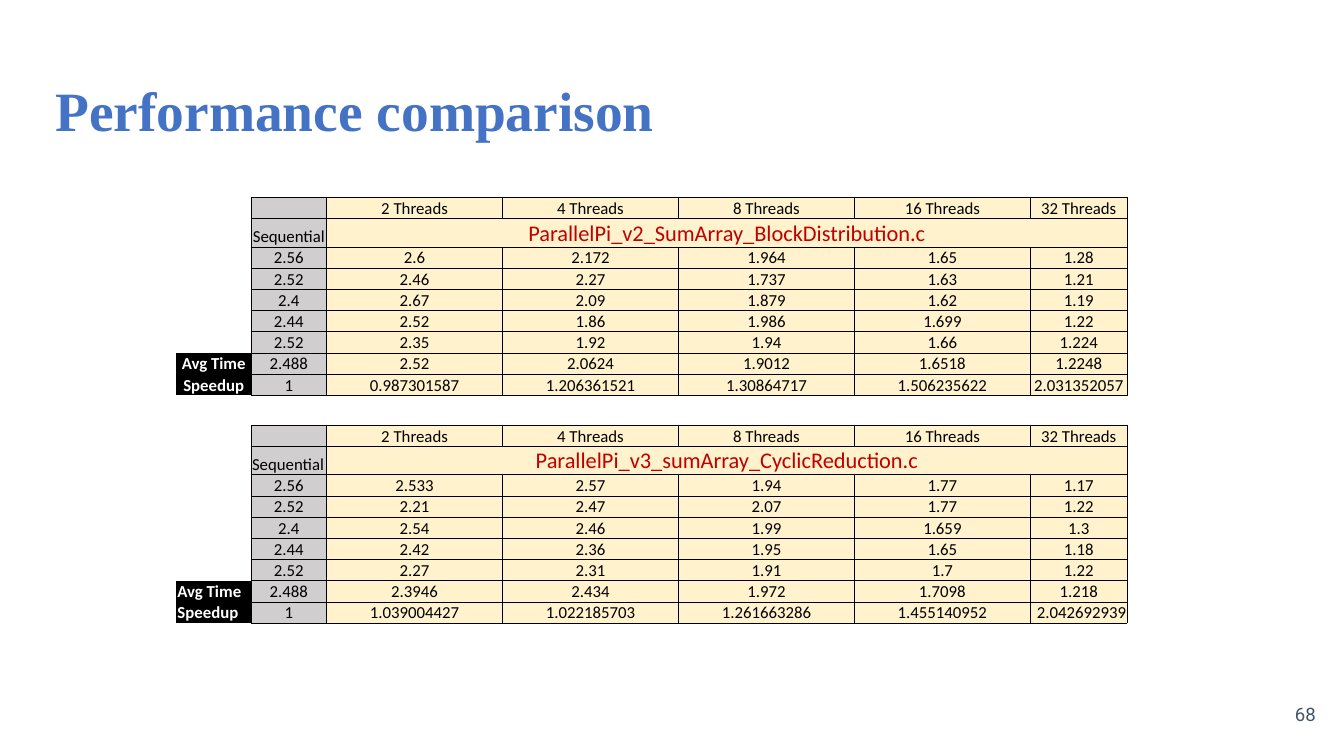
"""Builds the slide that compares thread timings of two parallel programs."""
from lxml.etree import SubElement
from pptx import Presentation
from pptx.dml.color import RGBColor
from pptx.enum.text import MSO_ANCHOR, PP_ALIGN
from pptx.oxml.ns import qn
from pptx.util import Inches, Pt

THEME = {
    "title": ("Times New Roman", 39.6, "4472C4"),
    "number": ("Roboto", 13.3, "44546A"),
    "body": ("Calibri", 12, "000000"),
    "label": ("Calibri", 12, "FFFFFF"),
    "program": ("Calibri", 16, "C00000"),
    "sequential_fill": "D0CECE",
    "threads_fill": "FFF2CC",
    "label_fill": "000000",
    "border": "000000",
}
NO_STYLE = "{2D5ABB26-0587-4C30-8999-92F81FD0307C}"
COLS = [0.74, 0.75] + [6.98 / 4] * 4 + [0.96]
ROWS = [0.21, 0.28] + [0.21] * 7
SEQUENTIAL = ["2.56", "2.52", "2.4", "2.44", "2.52", "2.488", "1"]
HEADER = ["", ""] + [f"{2 ** n} Threads" for n in range(1, 6)]
LABELS = [""] * 5 + ["Avg Time", "Speedup"]
LEFT, RIGHT, CENTER = PP_ALIGN.LEFT, PP_ALIGN.RIGHT, PP_ALIGN.CENTER

BLOCK = """2.6 2.172 1.964 1.65 1.28
2.46 2.27 1.737 1.63 1.21
2.67 2.09 1.879 1.62 1.19
2.52 1.86 1.986 1.699 1.22
2.35 1.92 1.94 1.66 1.224
2.52 2.0624 1.9012 1.6518 1.2248
0.987301587 1.206361521 1.30864717 1.506235622 2.031352057"""
CYCLIC = """2.533 2.57 1.94 1.77 1.17
2.21 2.47 2.07 1.77 1.22
2.54 2.46 1.99 1.659 1.3
2.42 2.36 1.95 1.65 1.18
2.27 2.31 1.91 1.7 1.22
2.3946 2.434 1.972 1.7098 1.218
1.039004427 1.022185703 1.261663286 1.455140952 2.042692939"""
TABLES = [
    (1.96, "ParallelPi_v2_SumArray_BlockDistribution.c", BLOCK, {}),
    (4.22, "ParallelPi_v3_sumArray_CyclicReduction.c", CYCLIC,
     {(1, 1): LEFT, (7, 0): LEFT, (8, 0): LEFT, (8, 6): RIGHT}),
]


def write(tf, text, style, align, bold=False):
    p = tf.paragraphs[0]
    p.alignment = align
    p.font.name, size, color = THEME[style]
    p.font.size = Pt(size)
    p.font.bold = bold
    p.font.color.rgb = RGBColor.from_string(color)
    if text:
        p.add_run().text = text
    else:
        SubElement(p._p, qn("a:endParaRPr"), sz=str(size * 100))


def add_border(cell, side):
    ln = SubElement(cell._tc.get_or_add_tcPr(), qn(f"a:ln{side}"), w=str(Pt(0.5)))
    fill = SubElement(ln, qn("a:solidFill"))
    SubElement(fill, qn("a:srgbClr"), val=THEME["border"])


prs = Presentation()
prs.slide_width, prs.slide_height = Inches(13.33), Inches(7.5)
s = prs.slides.add_slide(prs.slide_layouts[6])

for text, style, align, anchor, box in [
    ("Performance comparison", "title", LEFT, MSO_ANCHOR.TOP, (0.45, 0.65, 12.42, 0.84)),
    ("68", "number", RIGHT, MSO_ANCHOR.MIDDLE, (12.35, 6.8, 0.8, 0.57)),
]:
    tf = s.shapes.add_textbox(*map(Inches, box)).text_frame
    tf.word_wrap = True
    tf.vertical_anchor = anchor
    tf.margin_left = tf.margin_right = tf.margin_top = tf.margin_bottom = Inches(0.1)
    write(tf, text, style, align, bold=style == "title")

for top, program, timings, aligns in TABLES:
    grid = [HEADER, ["", "Sequential", program] + [""] * 4]
    grid += [[label, seq, *line.split()]
             for label, seq, line in zip(LABELS, SEQUENTIAL, timings.splitlines())]
    sp = s.shapes.add_table(len(ROWS), len(COLS), Inches(1.75), Inches(top),
                            Inches(sum(COLS)), Inches(sum(ROWS)))
    table = sp.table
    table.first_row = table.horz_banding = False
    table._tbl.tblPr.find(qn("a:tableStyleId")).text = NO_STYLE
    for column, width in zip(table.columns, COLS):
        column.width = Inches(width)
    for row, height in zip(table.rows, ROWS):
        row.height = Inches(height)
    for i, texts in enumerate(grid):
        for j, text in enumerate(texts):
            cell = table.cell(i, j)
            cell.vertical_anchor = MSO_ANCHOR.BOTTOM
            cell.margin_left = cell.margin_right = cell.margin_top = Inches(0.01)
            cell.margin_bottom = 0
            for side in "LRTB" if j else "R":
                add_border(cell, side)
            if j or text:
                fill = ("label_fill", "sequential_fill", "threads_fill")[min(j, 2)]
                cell.fill.solid()
                cell.fill.fore_color.rgb = RGBColor.from_string(THEME[fill])
            style = "label" if j == 0 else "program" if text == program else "body"
            write(cell.text_frame, text, style, aligns.get((i, j), CENTER), bold=j == 0)
    table.cell(1, 2).merge(table.cell(1, 6))

prs.save("out.pptx")
